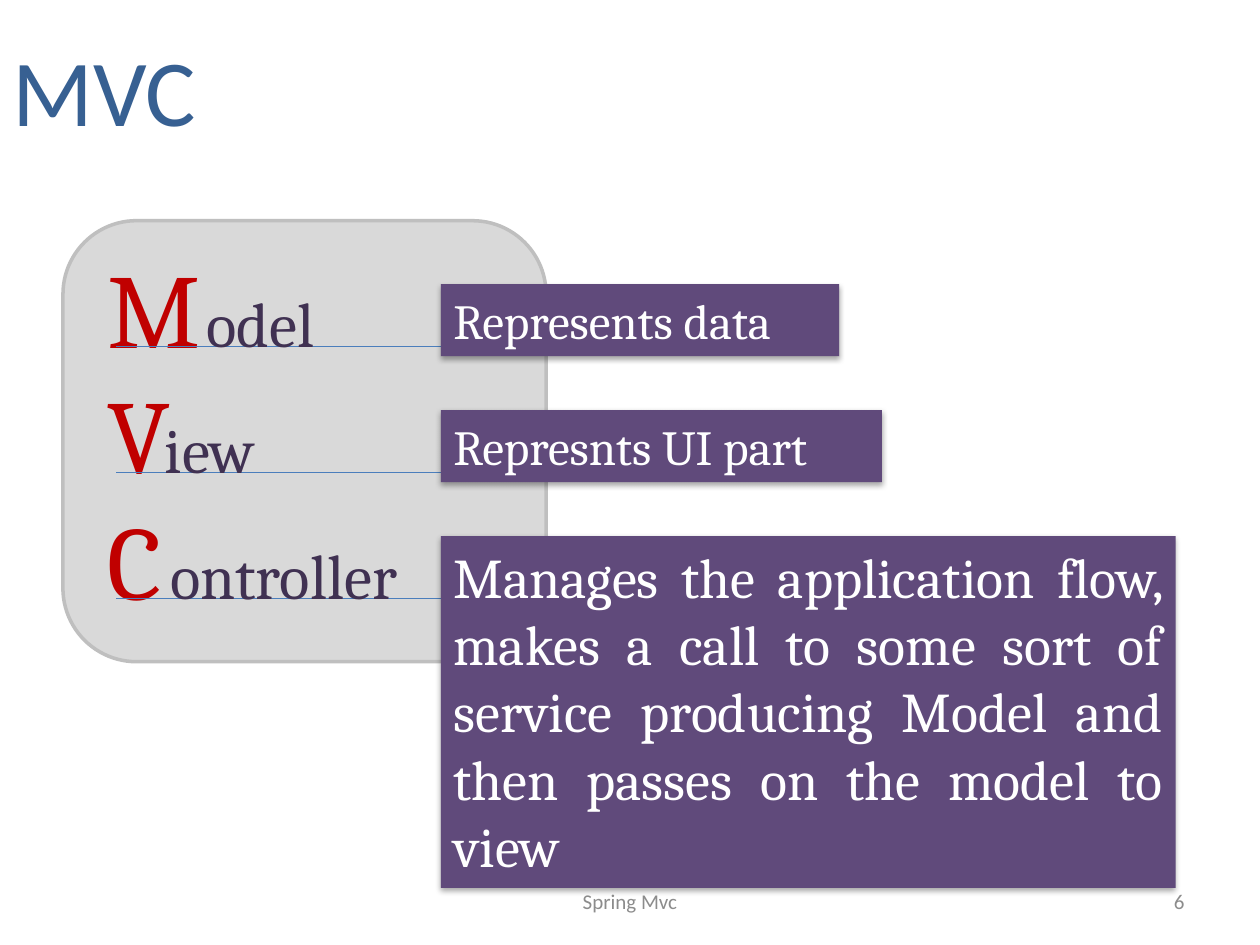
from lxml import etree
from pptx import Presentation
from pptx.dml.color import RGBColor
from pptx.enum.shapes import MSO_CONNECTOR, MSO_SHAPE
from pptx.enum.text import MSO_ANCHOR, PP_ALIGN
from pptx.oxml import parse_xml
from pptx.oxml.ns import nsdecls, qn
from pptx.util import Cm, Pt

LEFT, CENTER, RIGHT, JUSTIFY = PP_ALIGN.LEFT, PP_ALIGN.CENTER, PP_ALIGN.RIGHT, PP_ALIGN.JUSTIFY
TOP, MIDDLE = MSO_ANCHOR.TOP, MSO_ANCHOR.MIDDLE
RECT, ROUNDED = MSO_SHAPE.RECTANGLE, MSO_SHAPE.ROUNDED_RECTANGLE
STRAIGHT = MSO_CONNECTOR.STRAIGHT

BLUE = RGBColor(0x37, 0x60, 0x92)
RULE_BLUE = RGBColor(0x4B, 0x7E, 0xBC)
RED = RGBColor(0xC0, 0x00, 0x00)
DARK_PURPLE = RGBColor(0x40, 0x31, 0x52)
PURPLE = RGBColor(0x60, 0x4A, 0x7B)
WHITE = RGBColor(0xFF, 0xFF, 0xFF)
PANEL_GREY = RGBColor(0xD9, 0xD9, 0xD9)
EDGE_GREY = RGBColor(0xBF, 0xBF, 0xBF)
FOOTER_GREY = RGBColor(0x8C, 0x8C, 0x8C)

TITLE = "MVC"
FOOTER = "Spring Mvc"
PAGE = "6"
PARTS = [
    dict(initial="M", rest="odel", rest_left=3.91, rest_width=4.78,
         note="Represents data", width=8.03, height=1.45, size=28, align=LEFT),
    dict(initial="V", rest="iew", rest_left=3.07, rest_width=4.78,
         note="Represnts UI part", width=8.89, height=1.45, size=28, align=LEFT),
    dict(initial="C", rest="ontroller", rest_left=3.18, rest_width=7.01,
         note="Manages the application flow, makes a call to some sort of service "
              "producing Model and then passes on the model to view",
         width=14.81, height=7.09, size=32, align=JUSTIFY),
]
PITCH = 2.54
RULE_TOP, REST_TOP, NOTE_TOP = 6.99, 5.61, 5.73
RULE_LEFT, RULE_RIGHT, NOTE_LEFT = 2.34, 9.63, 8.89


def write(sp, text, size, color, font="Cambria", align=LEFT, anchor=TOP):
    tf = sp.text_frame
    tf.word_wrap = True
    tf.vertical_anchor = anchor
    for i, line in enumerate(text.split("\n")):
        p = tf.add_paragraph() if i else tf.paragraphs[0]
        p.alignment = align
        r = p.add_run()
        r.text = line
        r.font.name = font
        r.font.size = Pt(size)
        r.font.color.rgb = color


def add_text(shapes, box, text, size, color, **fmt):
    sp = shapes.add_textbox(*map(Cm, box))
    write(sp, text, size, color, **fmt)


def add_block(shapes, kind, box, fill):
    sp = shapes.add_shape(kind, *map(Cm, box))
    sp.shadow.inherit = False
    sp.fill.solid()
    sp.fill.fore_color.rgb = fill
    sp.line.fill.background()
    return sp


def add_shadow(sp):
    effects = sp._element.spPr.find(qn("a:effectLst"))
    effects.append(parse_xml(
        f'<a:outerShdw {nsdecls("a")} blurRad="{Pt(3.1)}" dist="{Pt(1.8)}" '
        'dir="5400000" rotWithShape="0"><a:srgbClr val="000000">'
        '<a:alpha val="35000"/></a:srgbClr></a:outerShdw>'))


prs = Presentation()
prs.slide_width, prs.slide_height = Cm(25.4), Cm(19.05)
s = prs.slides.add_slide(prs.slide_layouts[6])

add_text(s.shapes, (0, 0.2, 22.86, 3.18), TITLE, 54, BLUE, font="Calibri", anchor=MIDDLE)
for text, box, align in [(FOOTER, (8.68, 17.66, 8.04, 1.01), CENTER),
                         (PAGE, (18.2, 17.66, 5.93, 1.01), RIGHT)]:
    add_text(s.shapes, box, text, 12, FOOTER_GREY, font="Calibri", align=align, anchor=MIDDLE)

group = s.shapes.add_group_shape().shapes
panel = add_block(group, ROUNDED, (1.27, 4.45, 9.74, 8.89), PANEL_GREY)
panel.line.color.rgb = EDGE_GREY
panel.line.width = Pt(2)
initials = "\n".join(part["initial"] for part in PARTS)
add_text(group, (1.91, 4.78, 2.79, 7.95), initials, 60, RED)

for i, part in enumerate(PARTS):
    y = Cm(RULE_TOP + i * PITCH)
    rule = group.add_connector(STRAIGHT, Cm(RULE_LEFT), y, Cm(RULE_RIGHT), y)
    rule.line.color.rgb = RULE_BLUE
    rule.line.width = Pt(0.75)
    etree.SubElement(rule._element.spPr, qn("a:effectLst"))

for i, part in enumerate(PARTS):
    add_text(group, (part["rest_left"], REST_TOP + i * PITCH, part["rest_width"], 1.8),
             part["rest"], 36, DARK_PURPLE)
    note = add_block(s.shapes, RECT,
                     (NOTE_LEFT, NOTE_TOP + i * PITCH, part["width"], part["height"]), PURPLE)
    add_shadow(note)
    write(note, part["note"], part["size"], WHITE, align=part["align"])

prs.save("out.pptx")
